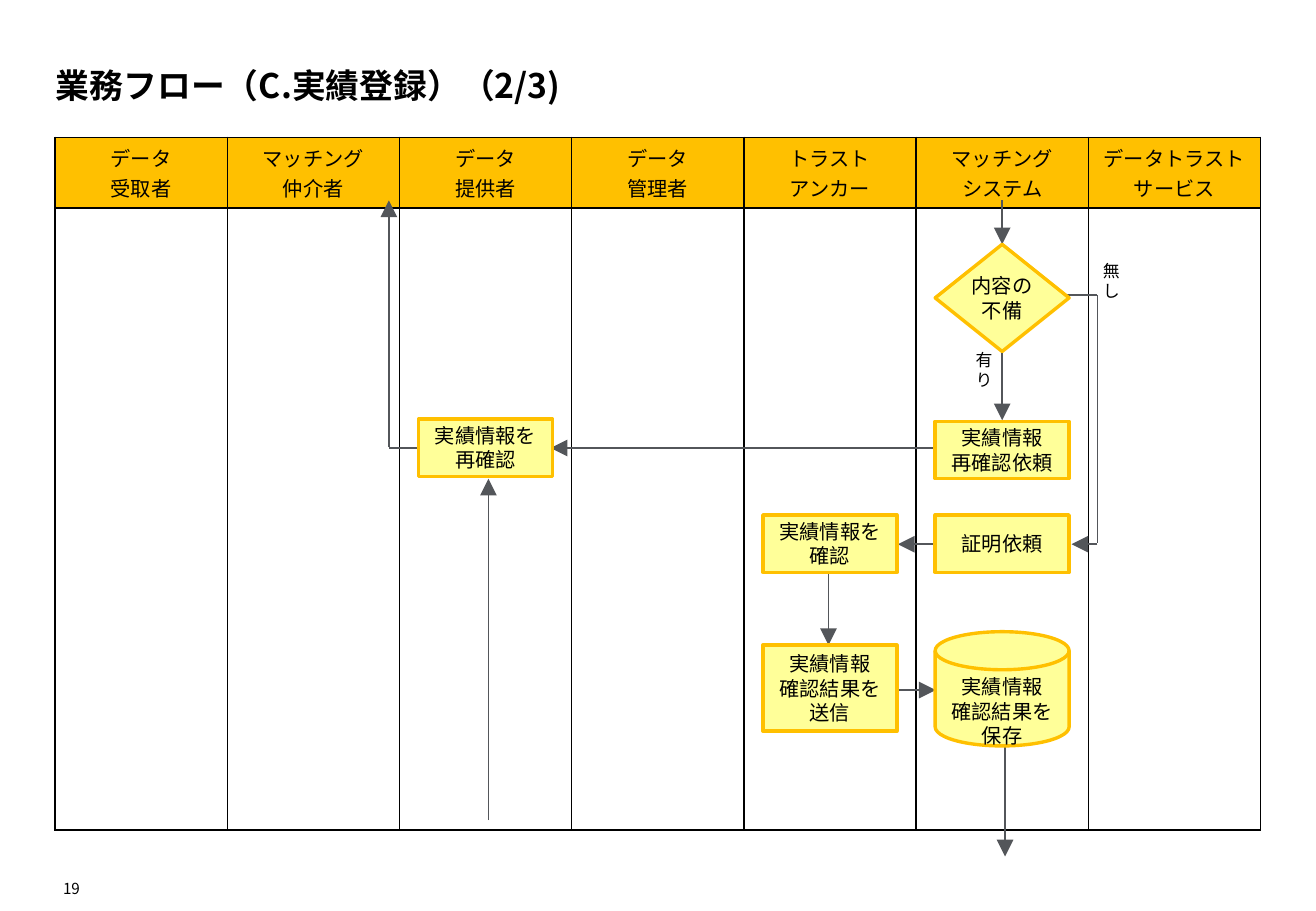
from lxml import etree
from pptx import Presentation
from pptx.dml.color import RGBColor
from pptx.enum.shapes import MSO_CONNECTOR, MSO_SHAPE
from pptx.enum.text import MSO_ANCHOR, PP_ALIGN
from pptx.oxml.ns import qn
from pptx.util import Cm, Pt

STRAIGHT = MSO_CONNECTOR.STRAIGHT
PROCESS = MSO_SHAPE.FLOWCHART_PROCESS
DECISION = MSO_SHAPE.FLOWCHART_DECISION
DISK = MSO_SHAPE.FLOWCHART_MAGNETIC_DISK
TOP, MIDDLE, BOTTOM = MSO_ANCHOR.TOP, MSO_ANCHOR.MIDDLE, MSO_ANCHOR.BOTTOM
LEFT, CENTER, RIGHT = PP_ALIGN.LEFT, PP_ALIGN.CENTER, PP_ALIGN.RIGHT

BLACK = RGBColor(0x00, 0x00, 0x00)
AMBER = RGBColor(0xFF, 0xC0, 0x00)
PALE_YELLOW = RGBColor(0xFF, 0xFF, 0x99)
GRAY = RGBColor(0x53, 0x56, 0x5A)

LANE_LEFT, LANE_TOP, LANE_WIDTH = 1.15, 2.87, 3.6
HEADER_HEIGHT, BODY_HEIGHT = 1.48, 13
STEP_WIDTH, STEP_HEIGHT = 2.8, 1.2
PROVIDER, ANCHOR, SYSTEM = 2, 4, 5

LANES = [
    "データ\n受取者",
    "マッチング\n仲介者",
    "データ\n提供者",
    "データ\n管理者",
    "トラスト\nアンカー",
    "マッチング\nシステム",
    "データトラスト\nサービス",
]

ARROWS = [
    (20.95, 4.19, 20.95, 5.11),
    (20.95, 6.76, 20.95, 8.79),
    (22.07, 9.37, 11.51, 9.37),
    (20.93, 11.38, 18.77, 11.38),
    (17.32, 11.35, 17.32, 13.49),
    (17.53, 14.43, 19.56, 14.43),
    (21.01, 14.88, 21.01, 17.91),
    (22.94, 11.38, 22.4, 11.38),
    (10.21, 17.15, 10.21, 10.01),
    (8.13, 9.35, 8.13, 4.19),
]

PLAIN_LINES = [
    (22.94, 6.17, 22.23, 6.17),
    (22.94, 6.17, 22.94, 11.36),
    (8.81, 9.37, 8.13, 9.37),
]

STEPS = [
    (DECISION, SYSTEM, 5.11, 2.24, "内容の\n不備", MIDDLE),
    (PROCESS, SYSTEM, 8.81, STEP_HEIGHT, "実績情報\n再確認依頼", MIDDLE),
    (PROCESS, PROVIDER, 8.76, STEP_HEIGHT, "実績情報を\n再確認", MIDDLE),
    (PROCESS, SYSTEM, 10.77, STEP_HEIGHT, "証明依頼", MIDDLE),
    (PROCESS, ANCHOR, 10.77, STEP_HEIGHT, "実績情報を\n確認", MIDDLE),
    (PROCESS, ANCHOR, 13.49, 1.8, "実績情報\n確認結果を\n送信", MIDDLE),
    (DISK, SYSTEM, 13.21, 2.39, "実績情報\n確認結果を\n保存", TOP),
]


class FlowSlide:
    font_name = "Noto Sans CJK JP"
    header_font = "Arial"
    text_size = 12
    line_width = Pt(1)

    def __init__(self, slide):
        self.slide = slide

    def style(self, paragraph, name, size, alignment, bold=False):
        paragraph.alignment = alignment
        font = paragraph.font
        font.size, font.bold = Pt(size), bold
        font.color.rgb = BLACK
        font.name = name
        properties = paragraph._p.pPr.find(qn("a:defRPr"))
        etree.SubElement(properties, qn("a:ea"), typeface=self.font_name)

    def fill_text(self, shape, text, size, alignment, anchor, margin, wrap, bold=False):
        frame = shape.text_frame
        frame.word_wrap = wrap
        frame.vertical_anchor = anchor
        frame.margin_left = frame.margin_right = Cm(margin)
        frame.margin_top = frame.margin_bottom = Cm(margin)
        paragraph = frame.paragraphs[0]
        paragraph.text = text
        paragraph.line_spacing = Pt(size * 1.2)
        self.style(paragraph, self.font_name, size, alignment, bold)

    def text(self, left, top, width, height, text, size,
             alignment=LEFT, anchor=BOTTOM, margin=0, bold=False):
        box = self.slide.shapes.add_textbox(Cm(left), Cm(top), Cm(width), Cm(height))
        self.fill_text(box, text, size, alignment, anchor, margin, True, bold)

    def border(self, cell):
        properties = cell._tc.get_or_add_tcPr()
        for index, side in enumerate(("a:lnL", "a:lnR", "a:lnT", "a:lnB")):
            line = etree.Element(qn(side), w=str(self.line_width))
            fill = etree.SubElement(line, qn("a:solidFill"))
            etree.SubElement(fill, qn("a:srgbClr"), val=str(BLACK))
            properties.insert(index, line)

    def lanes(self, titles):
        table = self.slide.shapes.add_table(
            2, len(titles), Cm(LANE_LEFT), Cm(LANE_TOP),
            Cm(LANE_WIDTH * len(titles)), Cm(HEADER_HEIGHT + BODY_HEIGHT)).table
        table.rows[0].height = Cm(HEADER_HEIGHT)
        table.rows[1].height = Cm(BODY_HEIGHT)
        for index, title in enumerate(titles):
            table.columns[index].width = Cm(LANE_WIDTH)
            header, body = table.cell(0, index), table.cell(1, index)
            header.fill.solid()
            header.fill.fore_color.rgb = AMBER
            header.vertical_anchor = MIDDLE
            header.margin_left = header.margin_right = Cm(0.1)
            header.text_frame.text = title
            for paragraph in header.text_frame.paragraphs:
                self.style(paragraph, self.header_font, self.text_size, CENTER)
            body.fill.background()
            self.border(header)
            self.border(body)

    def line(self, start_x, start_y, end_x, end_y, arrow=False):
        connector = self.slide.shapes.add_connector(
            STRAIGHT, Cm(start_x), Cm(start_y), Cm(end_x), Cm(end_y))
        connector.line.color.rgb = GRAY
        connector.line.width = self.line_width
        if arrow:
            etree.SubElement(connector.line._get_or_add_ln(), qn("a:tailEnd"),
                             type="triangle", w="lg", len="lg")
        etree.SubElement(connector._element.spPr, qn("a:effectLst"))

    def step(self, kind, lane, top, height, text, anchor):
        left = LANE_LEFT + LANE_WIDTH * lane + (LANE_WIDTH - STEP_WIDTH) / 2
        shape = self.slide.shapes.add_shape(
            kind, Cm(left), Cm(top), Cm(STEP_WIDTH), Cm(height))
        shape.shadow.inherit = False
        shape.fill.solid()
        shape.fill.fore_color.rgb = PALE_YELLOW
        shape.line.color.rgb = AMBER
        shape.line.width = Pt(2)
        self.fill_text(shape, text, self.text_size, CENTER, anchor, 0.1, False)

    def branch(self, left, top, text):
        self.text(left, top, 0.8, 0.64, text, 10, CENTER, MIDDLE, 0.1)


def main():
    presentation = Presentation()
    presentation.slide_width = Cm(27.51)
    presentation.slide_height = Cm(19.05)
    slide = presentation.slides.add_slide(presentation.slide_layouts[6])
    flow = FlowSlide(slide)
    flow.lanes(LANES)
    flow.text(1.17, 0.51, 21.9, 1.7, "業務フロー（C.実績登録）（2/3)", 20, bold=True)
    for points in PLAIN_LINES:
        flow.line(*points)
    for points in ARROWS:
        flow.line(*points, arrow=True)
    for step in STEPS:
        flow.step(*step)
    flow.branch(20.17, 7.42, "有り")
    flow.branch(22.83, 5.56, "無し")
    flow.text(1.17, 18.29, 0.5, 0.48, "19", 9, RIGHT)
    presentation.save("out.pptx")


if __name__ == "__main__":
    main()
